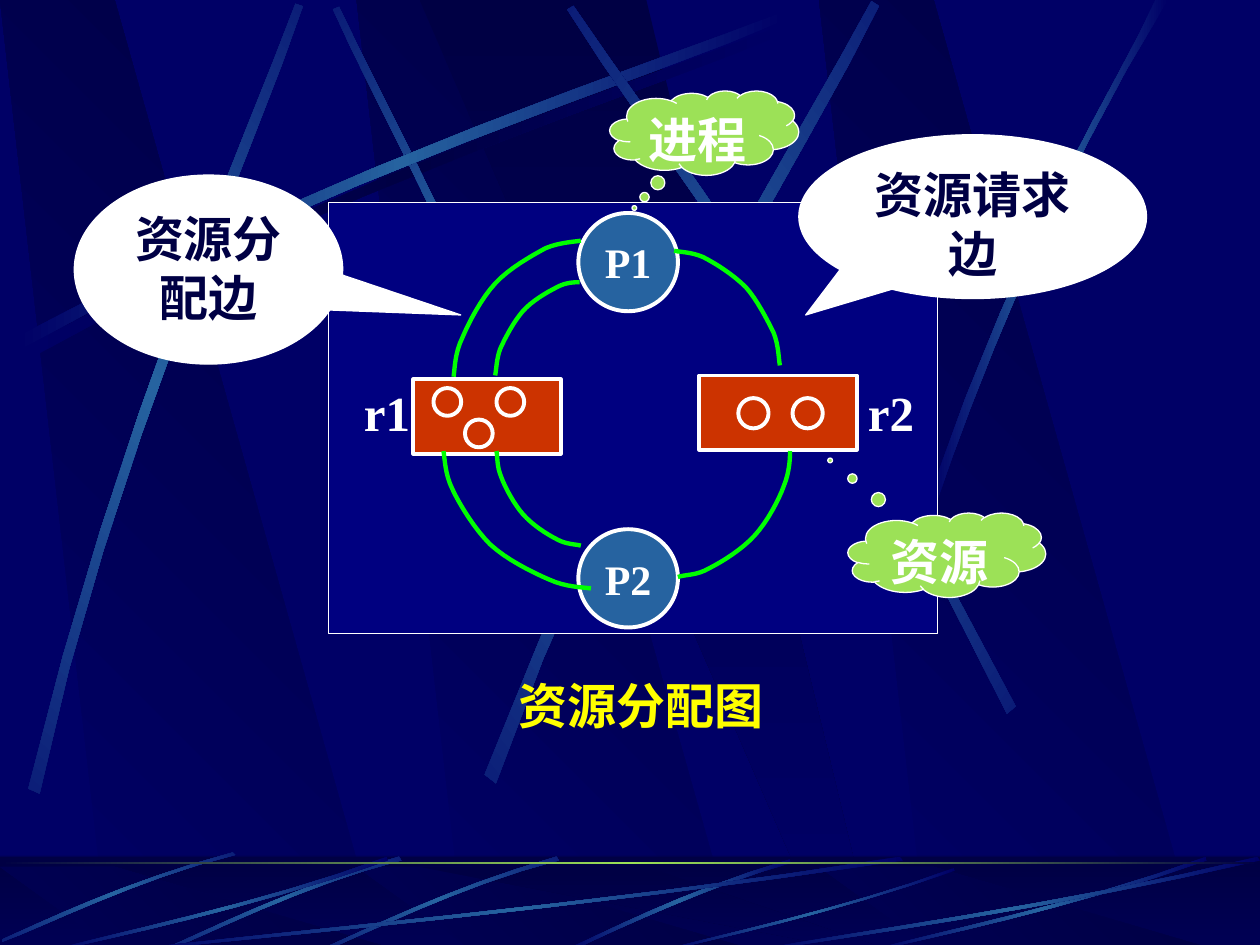
from copy import deepcopy
from math import cos, radians, sin

from lxml import etree
from pptx import Presentation
from pptx.dml.color import RGBColor
from pptx.enum.shapes import MSO_SHAPE
from pptx.enum.text import MSO_ANCHOR, MSO_AUTO_SIZE, PP_ALIGN
from pptx.oxml.ns import qn
from pptx.util import Pt

PX = 9144  # EMU per px, 100 px to the inch
RECT, OVAL = MSO_SHAPE.RECTANGLE, MSO_SHAPE.OVAL
BUBBLE, CLOUD = MSO_SHAPE.OVAL_CALLOUT, MSO_SHAPE.CLOUD_CALLOUT
LEFT, CENTER = PP_ALIGN.LEFT, PP_ALIGN.CENTER
TOP, MIDDLE = MSO_ANCHOR.TOP, MSO_ANCHOR.MIDDLE
GROW = MSO_AUTO_SIZE.SHAPE_TO_FIT_TEXT
SERIF, SANS = "Times New Roman", "Arial"
C = {"base": "000066", "dark": "000044", "steel": "2663A0", "lime": "9CE157",
     "white": "FFFFFF", "board": "000080", "red": "CC3300", "edge": "00FF00",
     "yellow": "FFFF00"}
BEAM = ("base", "steel", "base")

PANELS = [(283, 374, 585, 369), (0, 91, 302, 86), (650, 741, 952, 736)]
CROSS_PANEL = (333, 513, 694, 658)

# Each beam: rotation, gradient, then two cubic curves that form its long sides
SKY_BEAMS = [
    (0, ("base", "dark", "base"), [(20, 275), (284, 134), (524, 59), (626, 18),
                                   (629, 24), (528, 69), (254, 151), (23, 285)]),
    (45, BEAM, [(460, 436), (391, 234), (302, 77), (269, 5),
                (264, 7), (295, 79), (398, 258), (454, 439)]),
    (0, BEAM, [(14, 267), (278, 125), (518, 51), (620, 10),
               (623, 16), (522, 61), (248, 143), (17, 277)]),
    (311.7, BEAM, [(23, 625), (93, 334), (197, 105), (235, 2),
                   (241, 4), (207, 108), (86, 368), (32, 629)]),
    (321.6, BEAM, [(385, 614), (498, 320), (638, 102), (692, 0),
                   (698, 4), (649, 108), (486, 355), (394, 621)]),
    (34.8, BEAM, [(806, 560), (670, 293), (516, 95), (455, 4),
                  (450, 7), (507, 101), (685, 325), (799, 566)]),
    (0, BEAM, [(738, 393), (814, 173), (888, 66), (917, 0),
               (927, 0), (836, 145), (769, 322), (744, 397)]),
]
FLOOR_BEAMS = [
    (0, BEAM, [(627, 2), (537, 29), (477, 62), (448, 74),
               (453, 75), (490, 57), (571, 20), (628, 5)]),
    (314.9, BEAM, [(442, 0), (355, 25), (287, 60), (256, 73),
                   (257, 75), (288, 63), (365, 23), (444, 3)]),
    (314.9, BEAM, [(317, 0), (230, 25), (162, 60), (131, 73),
                   (132, 75), (163, 63), (240, 23), (319, 3)]),
    (314.9, BEAM, [(185, -3), (99, 20), (32, 53), (2, 66),
                   (2, 68), (33, 57), (109, 18), (187, -1)]),
    (0, BEAM, [(717, 3), (449, 43), (206, 64), (103, 75),
               (100, 74), (202, 61), (480, 38), (714, 0)]),
    (0, BEAM, [(308, 3), (193, 43), (88, 64), (43, 75),
               (42, 74), (86, 61), (206, 38), (307, 0)]),
    (0, BEAM, [(758, 11), (658, 46), (567, 65), (528, 75),
               (527, 74), (565, 63), (669, 42), (757, 9)]),
    (0, BEAM, [(958, 3), (843, 43), (738, 64), (693, 75),
               (692, 74), (736, 61), (856, 38), (957, 0)]),
    (0, BEAM, [(1000, 3), (827, 43), (669, 64), (602, 75),
               (600, 74), (666, 61), (846, 38), (998, 0)]),
]
# Chained cubic curves, relative to the graph board
EDGES = [
    [(200, 30), (196, 31), (184, 31), (172, 36), (161, 42), (143, 52), (132, 64),
     (121, 76), (111, 95), (106, 107), (100, 119), (100, 131), (99, 138)],
    [(199, 63), (196, 63), (188, 63), (181, 67), (173, 71), (161, 78), (154, 86),
     (147, 94), (140, 107), (136, 116), (133, 124), (133, 133), (132, 137)],
    [(274, 38), (278, 39), (288, 39), (297, 43), (307, 48), (321, 57), (331, 67),
     (340, 77), (348, 93), (353, 103), (357, 113), (357, 124), (358, 129)],
    [(366, 197), (366, 201), (366, 213), (361, 225), (357, 236), (348, 253), (338, 264),
     (328, 275), (312, 285), (302, 290), (292, 296), (282, 295), (277, 297)],
    [(91, 197), (92, 202), (92, 215), (98, 227), (104, 240), (116, 259), (128, 271),
     (141, 283), (161, 293), (175, 299), (188, 305), (201, 305), (208, 306)],
    [(133, 197), (134, 200), (133, 209), (137, 218), (140, 226), (147, 239), (154, 247),
     (162, 256), (173, 263), (181, 267), (188, 271), (196, 271), (200, 272)],
]


def rgb(name):
    return RGBColor.from_string(C[name])


def paint(sp, fill=None, line=None, width=0.75):
    sp.shadow.inherit = False
    if fill:
        sp.fill.solid()
        sp.fill.fore_color.rgb = rgb(fill)
    else:
        sp.fill.background()
    if line:
        sp.line.color.rgb = rgb(line)
        sp.line.width = Pt(width)
    else:
        sp.line.fill.background()


def paint_gradient(sp, colors, angle=0):
    """Fill with evenly spaced stops; angle is counter-clockwise."""
    paint(sp)
    sp.fill.gradient()
    sp.fill.gradient_angle = angle
    stops = sp.fill._fill._gradFill.find(qn("a:gsLst"))
    if len(colors) == 3:
        stops.append(deepcopy(stops[-1]))
    for i, (stop, color) in enumerate(zip(sp.fill.gradient_stops, colors)):
        stop.color.rgb = rgb(color)
        stop.position = i / (len(colors) - 1)


def add_shape(s, kind, x, y, w, h, fill=None, line=None, width=0.75):
    sp = s.shapes.add_shape(kind, x * PX, y * PX, w * PX, h * PX)
    paint(sp, fill, line, width)
    return sp


def write(sp, text, size=28, color="white", font=SERIF, align=CENTER, anchor=TOP, wrap=True):
    tf = sp.text_frame
    tf.word_wrap = wrap
    tf.vertical_anchor = anchor
    p = tf.paragraphs[0]
    p.text = text
    p.alignment = align
    p.font.size, p.font.bold, p.font.name = Pt(size), True, font
    p.font.color.rgb = rgb(color)


def add_text(s, x, y, w, h, text, **style):
    sp = s.shapes.add_textbox(x * PX, y * PX, w * PX, h * PX)
    write(sp, text, **style)
    sp.text_frame.auto_size = GROW


def bezier(points, steps=8):
    """Sample a chain of cubic curves."""
    out = [points[0]]
    for i in range(0, len(points) - 1, 3):
        for t in (k / steps for k in range(1, steps + 1)):
            weights = ((1 - t) ** 3, 3 * t * (1 - t) ** 2, 3 * t * t * (1 - t), t ** 3)
            out.append(tuple(sum(w * p[axis] for w, p in zip(weights, points[i:i + 4]))
                             for axis in (0, 1)))
    return out


def add_outline(s, x, y, points, close=True):
    pts = [((x + px) * PX, (y + py) * PX) for px, py in points]
    builder = s.shapes.build_freeform(*pts[0], scale=1.0)
    builder.add_line_segments(pts[1:], close=close)
    return builder.convert_to_shape()


def add_beam(s, x, y, rotation, colors, points):
    """Draw a beam whose gradient turns with the shape."""
    pts = bezier(points[:4]) + bezier(points[4:])
    cx, cy = ((min(v) + max(v)) / 2 for v in zip(*pts))
    co, si = cos(radians(rotation)), sin(radians(rotation))
    flat = [(cx + (px - cx) * co + (py - cy) * si, cy - (px - cx) * si + (py - cy) * co)
            for px, py in pts]
    sp = add_outline(s, x, y, flat)
    sp.rotation = rotation
    paint_gradient(sp, colors)


def add_panels(s, x, y, h):
    styles = [(("base", "dark"), 45)] * len(PANELS) + [(("dark", "base"), 270)]
    for (tl, tr, br, bl), style in zip(PANELS + [CROSS_PANEL], styles):
        sp = add_outline(s, x, y, [(tl, 0), (tr, 0), (br, h), (bl, h)])
        paint_gradient(sp, *style)


def add_sky(s, x, y, h):
    add_panels(s, x, y, h)
    for beam in SKY_BEAMS:
        add_beam(s, x, y, *beam)


def add_floor(s, x, y, w, h):
    paint_gradient(add_shape(s, RECT, x, y, w, h), ("dark", "base"), 270)
    add_panels(s, x, y + 8, h - 8)
    veil = add_shape(s, RECT, x, y - 1, w, h + 1, "dark")
    color = veil.fill._xPr.find(qn("a:solidFill"))[0]
    etree.SubElement(color, qn("a:alpha"), val="50000")
    for beam in FLOOR_BEAMS:
        add_beam(s, x, y, *beam)
    paint_gradient(add_shape(s, RECT, x, y + 4, w, 2), ("dark", "lime", "dark"))


def add_graph(s, x, y, w, h):
    add_shape(s, RECT, x, y, w, h, "board", "white")
    for dx, dy, rw in ((67, 140, 117), (294, 137, 125)):
        add_shape(s, RECT, x + dx, y + dy, rw, 59, "red", "white", 2.25)
    for name, dy in (("P1", 8), ("P2", 259)):
        sp = add_shape(s, OVAL, x + 198, y + dy, 79, 78, "steel", "white", 2.25)
        write(sp, name, size=24, anchor=MIDDLE, wrap=False)
    for dx, dy, d in ((83, 147, 22), (133, 147, 22), (108, 172, 22), (325, 155, 24), (368, 155, 24)):
        add_shape(s, OVAL, x + dx, y + dy, d, d, None, "white", 2.25)
    for edge in EDGES:
        paint(add_outline(s, x, y, bezier(edge), close=False), None, "edge", 2.5)
    for name, dx in (("r1", 18), ("r2", 418)):
        add_text(s, x + dx, y + 138, 58, 57, name, align=LEFT, wrap=False)


def add_callout(s, kind, x, y, w, h, tip, text, fill, color):
    sp = add_shape(s, kind, x, y, w, h, fill, "white")
    sp.adjustments[0], sp.adjustments[1] = tip
    write(sp, text, color=color)


def main():
    prs = Presentation()
    prs.slide_width, prs.slide_height = 1000 * PX, 750 * PX
    s = prs.slides.add_slide(prs.slide_layouts[6])
    s.background.fill.solid()
    s.background.fill.fore_color.rgb = rgb("base")
    add_sky(s, 0, 0, 750)
    add_floor(s, 0, 680, 1000, 70)
    add_graph(s, 261, 161, 483, 342)
    add_text(s, 280, 531, 457, 57, "资源分配图", color="yellow", font=SANS)
    add_callout(s, BUBBLE, 634, 107, 276, 130, (-0.48, 0.6), "资源请求边", "white", "dark")
    add_callout(s, BUBBLE, 59, 139, 213, 150, (0.94, 0.24), "资源分配边", "white", "dark")
    add_callout(s, CLOUD, 484, 72, 150, 67, (-0.37, 0.89), "进程", "lime", "white")
    add_callout(s, CLOUD, 673, 407, 157, 67, (-0.59, -1.12), "资源", "lime", "white")
    prs.save("out.pptx")


if __name__ == "__main__":
    main()
